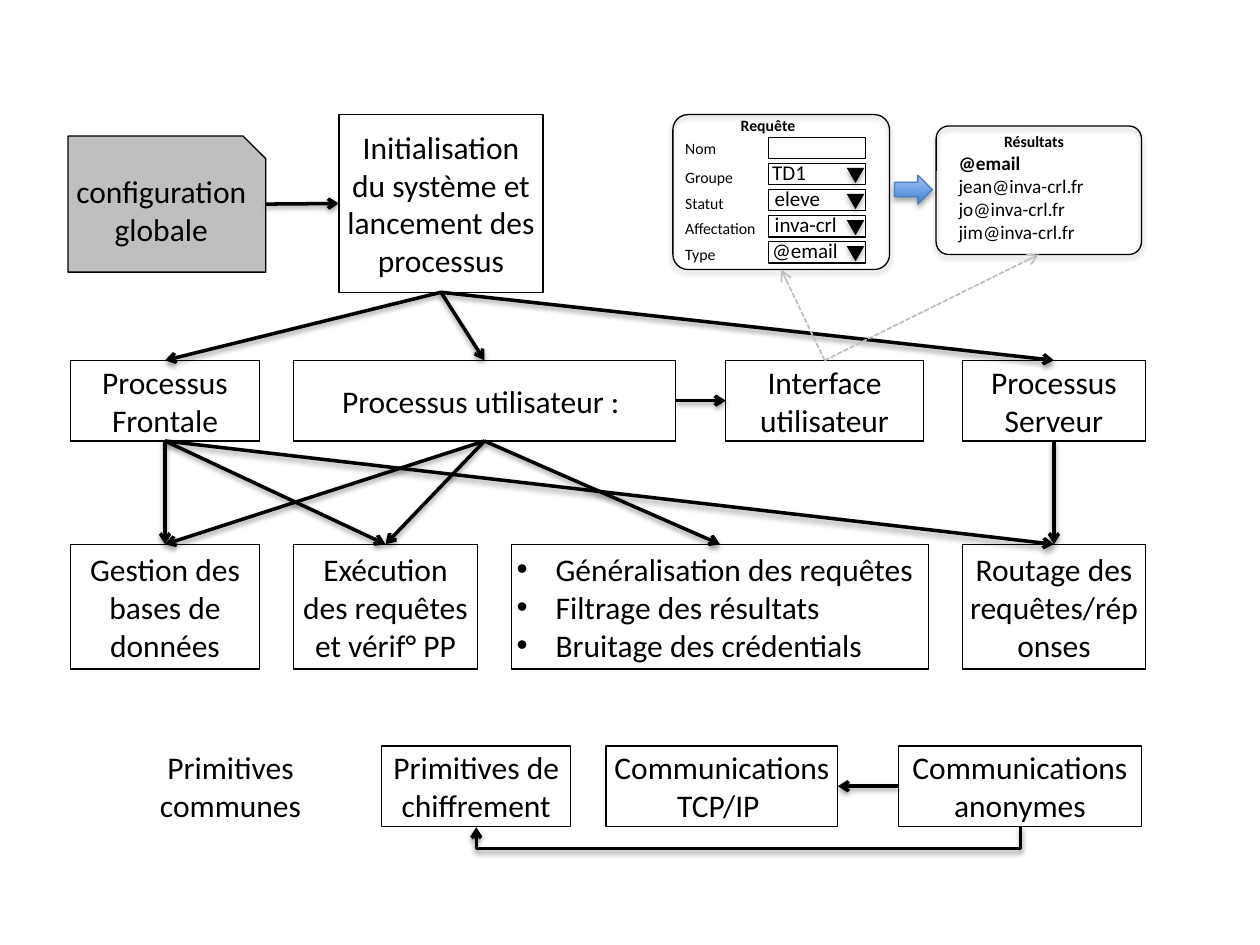
from dataclasses import dataclass

from lxml import etree
from pptx import Presentation
from pptx import util as u
from pptx.dml.color import RGBColor
from pptx.enum import dml, shapes, text
from pptx.oxml.ns import qn

TOP, LEFT, BOTTOM, RIGHT = range(4)
KIND = shapes.MSO_SHAPE


@dataclass(frozen=True)
class Theme:
    font: str = "Calibri"
    ink: str = "000000"
    grey: str = "BFBFBF"
    arrow_line: str = "4B7EBC"
    arrow_dark: str = "3F80CE"
    arrow_light: str = "A4C4FF"
    body: float = 18
    value: float = 12
    result: float = 11
    label: float = 9
    outline: float = 0.75
    flow: float = 2
    inset: float = 0.04


def color(value):
    return RGBColor.from_string(value)


def add_shadow(effects, distance, opacity):
    """Put a soft downward shadow (points, percent) in an a:effectLst."""
    shadow = etree.SubElement(
        effects, qn("a:outerShdw"), blurRad=str(u.Pt(3.1)),
        dist=str(u.Pt(distance)), dir="5400000", rotWithShape="0")
    shade = etree.SubElement(shadow, qn("a:srgbClr"), val="000000")
    etree.SubElement(shade, qn("a:alpha"), val=str(opacity * 1000))


class Diagram:
    def __init__(self, slide, theme):
        self.slide = slide
        self.theme = theme
        self.parent = slide.shapes

    def start_group(self):
        self.parent = self.slide.shapes.add_group_shape().shapes

    def end_group(self):
        self.parent = self.slide.shapes

    def add_lines(self, frame, lines, size, align, bold_first=False):
        for index, line in enumerate(lines):
            paragraph = frame.paragraphs[0] if index == 0 else frame.add_paragraph()
            paragraph.alignment = align
            run = paragraph.add_run()
            run.text = line
            run.font.name = self.theme.font
            run.font.size = u.Pt(size)
            run.font.bold = bold_first and index == 0
            run.font.color.rgb = color(self.theme.ink)

    def shape(self, kind, box, fill=None, line=None, shadow=False):
        shape = self.parent.add_shape(kind, *map(u.Inches, box))
        if fill:
            shape.fill.solid()
            shape.fill.fore_color.rgb = color(fill)
        else:
            shape.fill.background()
        if line:
            shape.line.color.rgb = color(line)
            shape.line.width = u.Pt(self.theme.outline)
        else:
            shape.line.fill.background()
        shape.shadow.inherit = False
        if shadow:
            add_shadow(shape._element.spPr.find(qn("a:effectLst")), 1.8, 35)
        return shape

    def box(self, lines, box, kind=KIND.RECTANGLE, fill=None, bullets=False):
        shape = self.shape(kind, box, fill, self.theme.ink)
        frame = shape.text_frame
        frame.word_wrap = True
        frame.vertical_anchor = text.MSO_ANCHOR.MIDDLE
        frame.margin_left = frame.margin_right = u.Inches(self.theme.inset)
        frame.margin_top = frame.margin_bottom = u.Inches(self.theme.inset)
        align = text.PP_ALIGN.LEFT if bullets else text.PP_ALIGN.CENTER
        self.add_lines(frame, lines, self.theme.body, align)
        if bullets:
            for paragraph in frame.paragraphs:
                properties = paragraph._p.get_or_add_pPr()
                properties.set("marL", str(u.Inches(0.31)))
                properties.set("indent", str(u.Inches(-0.31)))
                etree.SubElement(properties, qn("a:buFont"), typeface="Arial")
                etree.SubElement(properties, qn("a:buChar"), char="•")
        return shape

    def panel(self, box):
        shape = self.shape(KIND.ROUNDED_RECTANGLE, box, None, self.theme.ink, True)
        shape.adjustments[0] = 0.098
        return shape

    def label(self, lines, box, size, bold_first=False, wrap=False,
              align=text.PP_ALIGN.LEFT):
        frame = self.parent.add_textbox(*map(u.Inches, box)).text_frame
        frame.word_wrap = wrap
        frame.auto_size = text.MSO_AUTO_SIZE.SHAPE_TO_FIT_TEXT
        self.add_lines(frame, lines, size, align, bold_first)

    def block_arrow(self, box):
        shape = self.shape(KIND.RIGHT_ARROW, box, None, self.theme.arrow_line, True)
        shape.fill.gradient()
        shape.fill.gradient_angle = 90
        tones = (self.theme.arrow_dark, self.theme.arrow_light)
        for stop, tone in zip(shape.fill.gradient_stops, tones):
            stop.color.rgb = color(tone)

    def style_connector(self, connector, dashed=False):
        line = connector.line
        line.color.rgb = color(self.theme.grey if dashed else self.theme.ink)
        line.width = u.Pt(1 if dashed else self.theme.flow)
        if dashed:
            line.dash_style = dml.MSO_LINE.SQUARE_DOT
        properties = connector._element.spPr
        etree.SubElement(properties.find(qn("a:ln")), qn("a:tailEnd"), type="arrow")
        effects = etree.SubElement(properties, qn("a:effectLst"))
        if not dashed:
            add_shadow(effects, 1.6, 38)

    def connect(self, start, start_side, end, end_side, dashed=False):
        connector = self.parent.add_connector(shapes.MSO_CONNECTOR.STRAIGHT, 0, 0, 0, 0)
        connector.begin_connect(start, start_side)
        connector.end_connect(end, end_side)
        self.style_connector(connector, dashed)

    def loop_below(self, start_x, end_x, y, depth):
        """Draw an elbow that drops from start_x, runs left and rises at end_x."""
        thin, span = 0.01, start_x - end_x
        left, top = (start_x + end_x - thin) / 2, y - span / 2
        connector = self.parent.add_connector(
            shapes.MSO_CONNECTOR.ELBOW,
            *map(u.Inches, (left, top, left + thin, top + span)))
        properties = connector._element.spPr
        properties.find(qn("a:xfrm")).set("rot", "5400000")
        geometry = properties.find(qn("a:prstGeom"))
        guides = geometry.find(qn("a:avLst"))
        if guides is None:
            guides = etree.SubElement(geometry, qn("a:avLst"))
        etree.SubElement(guides, qn("a:gd"), name="adj1",
                         fmla=f"val {round(depth / thin * 100000)}")
        self.style_connector(connector)


def draw_request(diagram):
    theme = diagram.theme
    diagram.start_group()
    panel = diagram.panel((5.34, 0.91, 1.72, 1.23))
    diagram.label(["Requête"], (5.78, 0.87, 0.98, 0.25), theme.label, True)
    fields = [("Nom", 1.05, None, 0), ("Groupe", 1.28, "TD1", 6.03),
              ("Statut", 1.49, "eleve", 6.05), ("Affectation", 1.69, "inva-crl", 6.05),
              ("Type", 1.89, "@email", 6.03)]
    for row, (name, label_top, value, value_left) in enumerate(fields):
        top = 1.09 + row * 0.207
        diagram.shape(KIND.RECTANGLE, (6.1, top, 0.77, 0.17), None, theme.ink)
        diagram.label([name], (5.34, label_top, 0.9, 0.25), theme.label)
        if value:
            diagram.label([value], (value_left, top - 0.08, 0.72, 0.3), theme.value)
            marker = diagram.shape(KIND.ISOSCELES_TRIANGLE,
                                   (6.72, top + 0.035, 0.14, 0.12), theme.ink, None, True)
            marker.rotation = 180
    diagram.end_group()
    return panel


def draw_results(diagram):
    diagram.start_group()
    panel = diagram.panel((7.43, 1, 1.63, 1.02))
    diagram.label(["Résultats"], (7.87, 1, 0.69, 0.25), diagram.theme.label, True)
    people = [f"{name}@inva-crl.fr" for name in ("jean", "jo", "jim")]
    diagram.label(["@email", *people], (7.51, 1.15, 1.55, 0.84),
                  diagram.theme.result, True, wrap=True)
    diagram.end_group()
    return panel


def main():
    presentation = Presentation()
    presentation.slide_width, presentation.slide_height = u.Inches(10), u.Inches(7.5)
    slide = presentation.slides.add_slide(presentation.slide_layouts[6])
    diagram = Diagram(slide, Theme())

    request, results = draw_request(diagram), draw_results(diagram)
    diagram.block_arrow((7.1, 1.39, 0.3, 0.23))
    settings = diagram.box(["configuration globale"], (0.54, 1.08, 1.57, 1.08),
                           KIND.SNIP_1_RECTANGLE, diagram.theme.grey)
    startup = diagram.box(["Initialisation du système et lancement des processus"],
                          (2.69, 0.91, 1.62, 1.41))

    def row(top, height, *items):
        return [diagram.box([words], (left, top, width, height))
                for words, left, width in items]

    front, user, interface, server = row(
        2.86, 0.64, ("Processus Frontale", 0.56, 1.5),
        ("Processus utilisateur : ", 2.33, 3.03),
        ("Interface utilisateur", 5.76, 1.57), ("Processus Serveur", 7.64, 1.45))
    database, execution, routing = row(
        4.32, 0.99, ("Gestion des bases de données", 0.56, 1.5),
        ("Exécution des requêtes et vérif° PP", 2.33, 1.46),
        ("Routage des requêtes/réponses", 7.64, 1.45))
    privacy = diagram.box(
        ["Généralisation des requêtes", "Filtrage des résultats", "Bruitage des crédentials"],
        (4.06, 4.32, 3.31, 0.99), bullets=True)
    _, tcp, anonymous = row(
        5.92, 0.64, ("Primitives de chiffrement", 3.03, 1.5),
        ("Communications TCP/IP ", 4.81, 1.84), ("Communications anonymes", 7.13, 1.93))
    diagram.label(["Primitives", "communes"], (1.16, 5.89, 1.34, 0.71),
                  diagram.theme.body, align=text.PP_ALIGN.CENTER)

    downward = [(startup, (front, user, server)), (front, (database, execution, routing)),
                (user, (database, execution, privacy)), (server, (routing,))]
    for source, targets in downward:
        for target in targets:
            diagram.connect(source, BOTTOM, target, TOP)
    diagram.connect(settings, RIGHT, startup, LEFT)
    diagram.connect(user, RIGHT, interface, LEFT)
    diagram.connect(anonymous, LEFT, tcp, RIGHT)
    diagram.loop_below(8.1, 3.78, 6.56, 0.18)
    for panel in (request, results):
        diagram.connect(interface, TOP, panel, BOTTOM, dashed=True)

    presentation.save("out.pptx")


if __name__ == "__main__":
    main()
